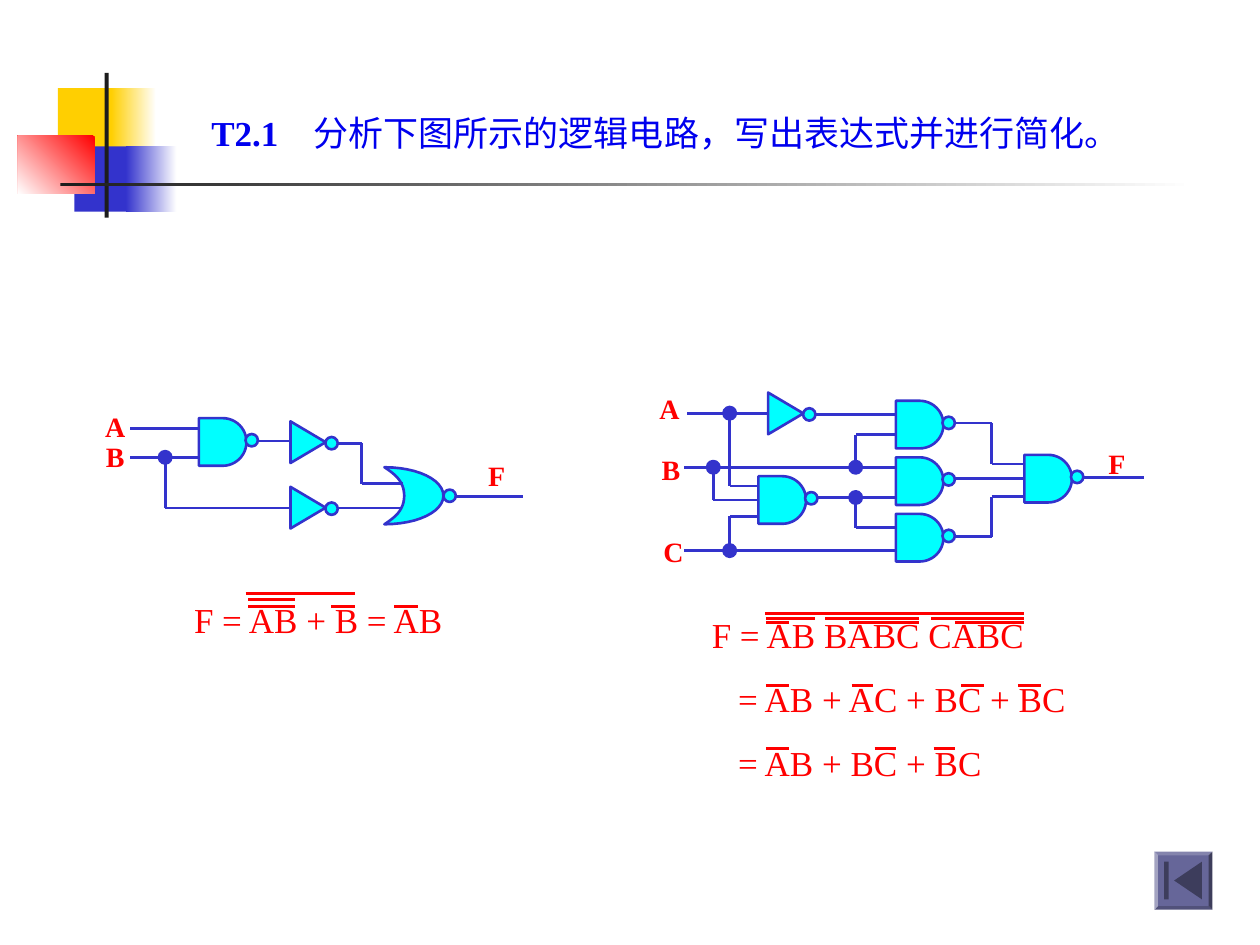
import pptx
import pptx.dml.color
import pptx.enum.shapes
import pptx.enum.text
import pptx.oxml.ns
import pptx.util
from lxml import etree

Cm = pptx.util.Cm
Pt = pptx.util.Pt
RGBColor = pptx.dml.color.RGBColor
Shape = pptx.enum.shapes.MSO_SHAPE
Align = pptx.enum.text.PP_ALIGN
qn = pptx.oxml.ns.qn

WHITE = RGBColor(0xFF, 0xFF, 0xFF)
YELLOW = RGBColor(0xFF, 0xCF, 0x01)
BLUE = RGBColor(0x33, 0x33, 0xCC)
TITLE_BLUE = RGBColor(0x00, 0x00, 0xEE)
RED = RGBColor(0xFF, 0x00, 0x00)
BLACK = RGBColor(0x1C, 0x1C, 0x1C)
CYAN = RGBColor(0x00, 0xFF, 0xFF)
BUTTON = RGBColor(0x66, 0x66, 0x99)
BUTTON_DARK = RGBColor(0x3D, 0x3D, 0x5C)

FONT = "Times New Roman"
LABEL = {"name": FONT, "size": Pt(16), "bold": True}
FORMULA = {"name": FONT, "size": Pt(20), "bold": False}
HEADING = {"name": FONT, "size": Pt(20), "bold": True}
WIDE_MARGINS = (0.25, 0.13)
THIN_MARGINS = (0.05, 0.03)
BUBBLE = 0.25
GATE = 0.96


def apply(target, values):
    for name, value in values.items():
        setattr(target, name, value)


def bezier(start, first, second, end, steps=12):
    """Points on a cubic curve, without its start."""
    points = []
    for step in range(1, steps + 1):
        t = step / steps
        weights = ((1 - t) ** 3, 3 * t * (1 - t) ** 2, 3 * t * t * (1 - t), t ** 3)
        points.append(tuple(sum(w * p[axis] for w, p in zip(weights, (start, first, second, end)))
                            for axis in (0, 1)))
    return points


class Sketch:
    """Holds the slide, the group being drawn into, and the line style."""

    def __init__(self, slide):
        self.slide = slide
        self.shapes = slide.shapes
        self.line_width = Pt(1.5)

    def start_group(self):
        self.shapes = self.slide.shapes.add_group_shape().shapes

    def end_group(self):
        self.shapes = self.slide.shapes

    def paint(self, shape, fill, line=None):
        shape.shadow.inherit = False
        shape.fill.solid()
        shape.fill.fore_color.rgb = fill
        if line is None:
            shape.line.fill.background()
        else:
            shape.line.color.rgb = line
            shape.line.width = self.line_width
        return shape

    def block(self, kind, box, fill, line=None, rotation=0):
        shape = self.shapes.add_shape(kind, *map(Cm, box))
        shape.rotation = rotation
        return self.paint(shape, fill, line)

    def fade(self, box, color, angle=0):
        """Rectangle fading from a colour to white."""
        shape = self.block(Shape.RECTANGLE, box, color)
        shape.fill.gradient()
        shape.fill.gradient_angle = angle
        for stop, stop_color in zip(shape.fill.gradient_stops, (color, WHITE)):
            stop.color.rgb = stop_color

    def bubble(self, x, y):
        self.block(Shape.OVAL, (x, y, BUBBLE, BUBBLE), CYAN, BLUE)

    def nand(self, x, y):
        gate = self.block(Shape.FLOWCHART_DELAY, (x, y, GATE, GATE), CYAN, BLUE)
        self.bubble(x + 0.94, y + 0.32)
        return gate

    def inverter(self, x, y):
        self.block(Shape.ISOSCELES_TRIANGLE, (x, y, 0.84, 0.71), CYAN, BLUE, 90)
        self.bubble(x + 0.77, y + 0.25)

    def nor(self, left, top, right, bottom):
        middle = (top + bottom) / 2
        inner = left + 0.4
        outline = (
            bezier((left, top), (left + 0.2, top + 0.13), (inner, top + 0.28), (inner, middle))
            + bezier((inner, middle), (inner, bottom - 0.28), (left + 0.2, bottom - 0.13), (left, bottom))
            + bezier((left, bottom), (left + 0.66, bottom), (right, bottom - 0.25), (right, middle))
            + bezier((right, middle), (right, top + 0.25), (left + 0.66, top), (left, top)))
        builder = self.shapes.build_freeform(Cm(left), Cm(top))
        builder.add_line_segments([(Cm(x), Cm(y)) for x, y in outline], close=True)
        self.paint(builder.convert_to_shape(), CYAN, BLUE)
        self.bubble(right, middle - BUBBLE / 2)

    def dot(self, x, y):
        self.block(Shape.OVAL, (x - BUBBLE / 2, y - BUBBLE / 2, BUBBLE, BUBBLE), BLUE, BLUE)

    def wire(self, *points, color=BLUE, gate=None):
        """Straight pieces through the points; the first starts at the gate's left middle."""
        for start, end in zip(points, points[1:]):
            connector = self.shapes.add_connector(
                pptx.enum.shapes.MSO_CONNECTOR.STRAIGHT, *map(Cm, start + end))
            if gate is not None and start == points[0]:
                connector.begin_connect(gate, 1)
            connector.line.color.rgb = color
            connector.line.width = self.line_width
            etree.SubElement(connector._element.spPr, qn("a:effectLst"))

    def overbars(self, rows):
        for y, spans in rows.items():
            for left, right in spans:
                self.wire((left, y), (right, y), color=RED)

    def text(self, box, lines, style, color=RED, align=Align.LEFT, margins=WIDE_MARGINS):
        frame = self.shapes.add_textbox(*map(Cm, box)).text_frame
        across, down = map(Cm, margins)
        apply(frame, {"word_wrap": True, "margin_left": across, "margin_right": across,
                      "margin_top": down, "margin_bottom": down})
        for index, line in enumerate(lines):
            paragraph = frame.paragraphs[0] if index == 0 else frame.add_paragraph()
            paragraph.alignment = align
            if index:
                paragraph.space_before = Pt(12.5)
            run = paragraph.add_run()
            run.text = line
            apply(run.font, style)
            run.font.color.rgb = color
        return frame.paragraphs

    def label(self, letter, x, y):
        self.text((x, y, 1.09, 0.74), [letter], LABEL, align=Align.CENTER, margins=THIN_MARGINS)


def draw_heading(sketch):
    sketch.block(Shape.RECTANGLE, (1.17, 1.78, 1.22, 1.32), YELLOW)
    sketch.fade((2.24, 1.78, 0.91, 1.32), YELLOW)
    sketch.block(Shape.RECTANGLE, (1.5, 2.95, 1.17, 1.32), BLUE)
    sketch.fade((2.54, 2.95, 1.02, 1.32), BLUE)
    sketch.fade((0.36, 2.74, 1.55, 1.17), RED, 225)
    sketch.block(Shape.RECTANGLE, (2.11, 1.47, 0.08, 2.92), BLACK)
    sketch.fade((1.22, 3.68, 22.86, 0.08), BLACK)
    paragraph = sketch.text((4.01, 2.11, 19.25, 1.12), ["T2.1\t"], HEADING, TITLE_BLUE)[0]
    tabs = etree.SubElement(paragraph._p.get_or_add_pPr(), qn("a:tabLst"))
    etree.SubElement(tabs, qn("a:tab"), pos=str(Cm(2.06)), algn="l")
    run = paragraph.add_run()
    run.text = "分析下图所示的逻辑电路，写出表达式并进行简化。"
    apply(run.font, FORMULA)
    run.font.color.rgb = TITLE_BLUE


def draw_button(sketch):
    bevel = sketch.block(Shape.BEVEL, (23.27, 17.17, 1.17, 1.17), BUTTON)
    bevel.adjustments[0] = 0.0625
    sketch.block(Shape.ISOSCELES_TRIANGLE, (23.57, 17.47, 0.76, 0.56), BUTTON_DARK, rotation=-90)
    sketch.block(Shape.RECTANGLE, (23.47, 17.37, 0.09, 0.76), BUTTON_DARK)


def draw_left_circuit(sketch):
    sketch.start_group()
    sketch.nand(4.01, 8.43)
    sketch.nor(7.75, 9.42, 8.94, 10.57)
    for y in (8.56, 9.88):
        sketch.inverter(5.79, y)
    for points in (
            [(4.01, 8.64), (2.62, 8.64)], [(4.01, 9.22), (2.62, 9.22)],
            [(5.21, 8.89), (5.87, 8.89)], [(3.33, 9.22), (3.33, 10.24), (5.87, 10.24)],
            [(6.81, 10.24), (8.08, 10.24)],
            [(6.81, 8.94), (7.29, 8.94), (7.29, 9.75), (8.13, 9.75)],
            [(9.17, 10.01), (10.54, 10.01)]):
        sketch.wire(*points)
    sketch.dot(3.33, 9.22)
    for letter, x, y in (("A", 1.78, 8.23), ("B", 1.78, 8.84), ("F", 9.47, 9.22)):
        sketch.label(letter, x, y)
    sketch.text((3.1, 11.94, 6.63, 1.12), ["F = AB + B = AB"], FORMULA, align=Align.CENTER)
    sketch.overbars({12.22: [(5, 5.94), (6.68, 7.16), (7.95, 8.43)],
                     12.09: [(5, 5.94)], 11.96: [(4.95, 7.16)]})
    sketch.end_group()


def draw_right_circuit(sketch):
    sketch.start_group()
    sketch.inverter(15.42, 7.98)
    first_gate = sketch.nand(15.29, 9.6)
    for row in range(3):
        sketch.nand(18.06, 8.08 + 1.14 * row)
    last_gate = sketch.nand(20.65, 9.17)
    for points in (
            [(15.49, 8.33), (13.84, 8.33)], [(18.06, 8.36), (16.43, 8.36)],
            [(16.46, 10.03), (18.06, 10.03)], [(18.06, 11.1), (13.79, 11.1)],
            [(18.06, 9.42), (13.79, 9.42)], [(21.84, 9.63), (23.06, 9.63)],
            [(14.71, 8.33), (14.71, 9.8), (15.29, 9.8)],
            [(15.29, 10.41), (14.71, 10.41), (14.71, 11.1)],
            [(18.06, 8.76), (17.25, 8.76), (17.25, 9.42)],
            [(18.06, 10.64), (17.25, 10.64), (17.25, 10.03)],
            [(19.25, 8.53), (19.99, 8.53), (19.99, 9.35), (20.65, 9.35)],
            [(19.25, 10.82), (19.99, 10.82), (19.99, 10.01), (20.65, 10.01)]):
        sketch.wire(*points)
    sketch.wire((15.29, 10.08), (14.38, 10.08), (14.38, 9.42), gate=first_gate)
    sketch.wire((20.65, 9.65), (19.25, 9.65), gate=last_gate)
    for x, y in ((14.71, 8.33), (14.38, 9.42), (14.71, 11.1), (17.25, 9.42), (17.25, 10.03)):
        sketch.dot(x, y)
    for letter, x, y in (("A", 12.95, 7.87), ("B", 12.98, 9.09), ("C", 13.03, 10.74), ("F", 21.97, 8.97)):
        sketch.label(letter, x, y)
    paragraphs = sketch.text((14.1, 12.24, 8.43, 3.68),
                             ["F = AB BABC CABC", "= AB + AC + BC + BC", "= AB + BC + BC"], FORMULA)
    for paragraph in paragraphs[1:]:
        paragraph._p.get_or_add_pPr().set("marL", str(Cm(0.53)))
    sketch.overbars({
        12.55: [(15.44, 15.9), (17.12, 18.52), (19.25, 20.65)],
        12.47: [(15.44, 16.43), (16.64, 18.52), (18.77, 20.65)],
        12.37: [(15.42, 20.65)],
        13.82: [(15.44, 15.9), (17.17, 17.6), (19.38, 19.84), (20.52, 20.98)],
        15.09: [(15.44, 15.9), (17.63, 18.06), (18.82, 19.25)]})
    sketch.end_group()


def main():
    presentation = pptx.Presentation()
    apply(presentation, {"slide_width": Cm(25.4), "slide_height": Cm(19.05)})
    sketch = Sketch(presentation.slides.add_slide(presentation.slide_layouts[6]))
    for draw in (draw_heading, draw_button, draw_left_circuit, draw_right_circuit):
        draw(sketch)
    presentation.save("out.pptx")


if __name__ == "__main__":
    main()
